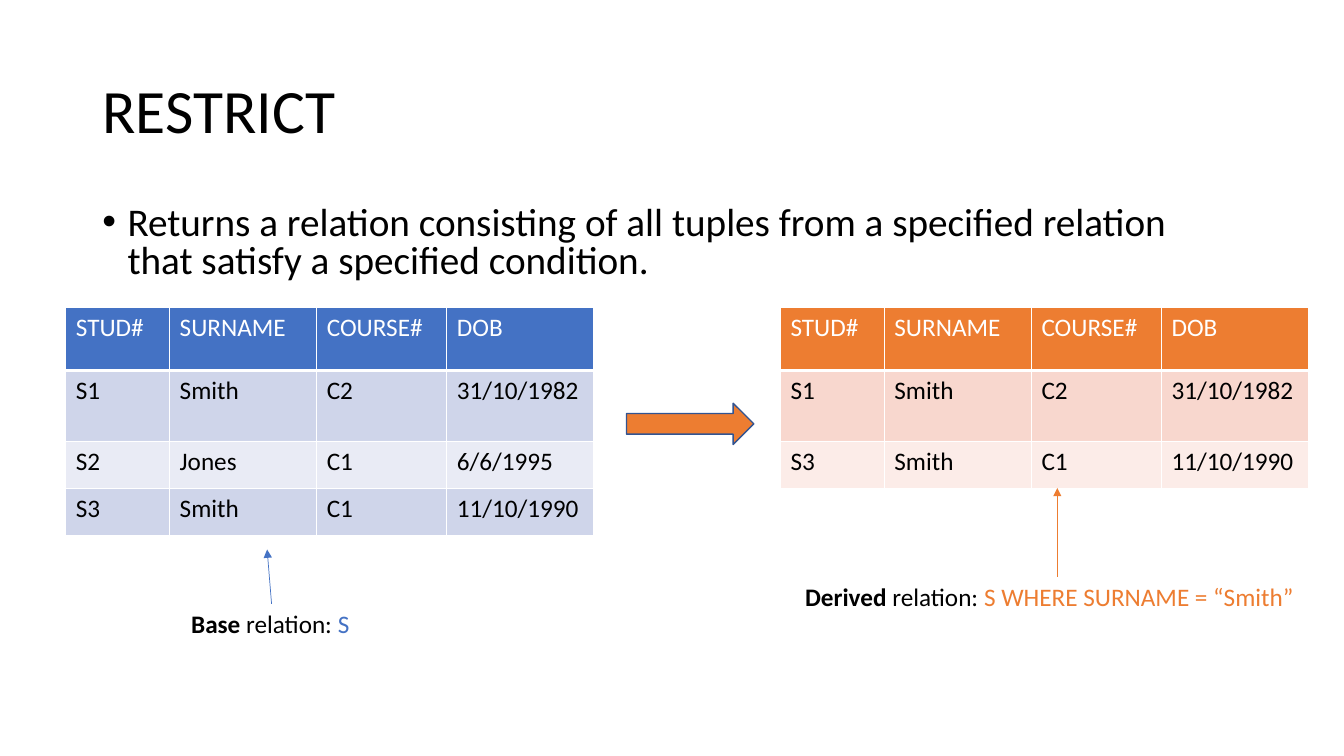
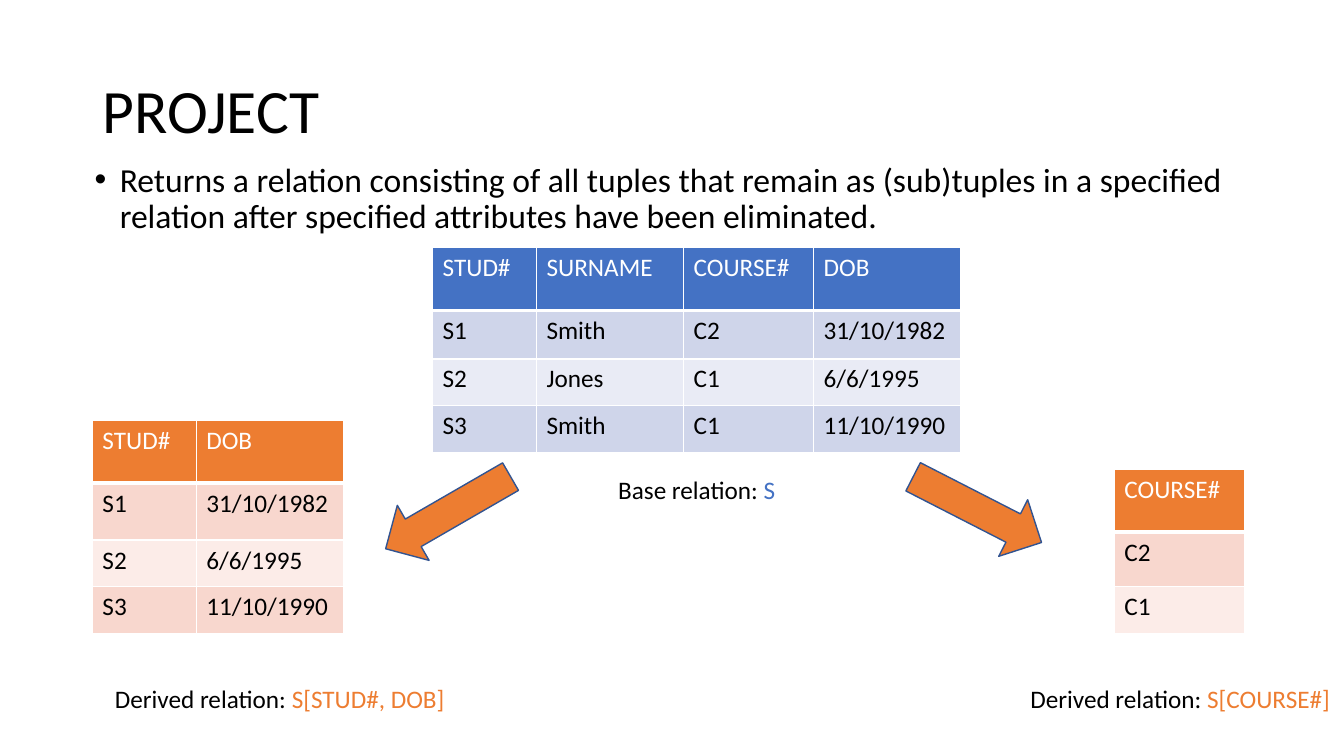
from pptx import Presentation
from pptx.dml.color import RGBColor
from pptx.enum import shapes, text
from pptx.oxml import ns, xmlchemy
from pptx.util import Pt

FONT = "Calibri"
HUES = {
    "ink": "000000", "white": "FFFFFF", "edge": "325491",
    "base": "4472C4", "base odd": "CFD5EA", "base even": "E9EBF5",
    "new": "ED7D31", "new odd": "F8D7CE", "new even": "FCECE8",
}
WIDE = {"STUD#": 74.2, "SURNAME": 105.1, "COURSE#": 92.9, "DOB": 105.1}
HEAD, ROW = 44.8, 33.4
DATA = [
    ("S1", "Smith", "C2", "31/10/1982"),
    ("S2", "Jones", "C1", "6/6/1995"),
    ("S3", "Smith", "C1", "11/10/1990"),
]
PAGE = (0, 0, 960, 540)


def hue(name):
    return RGBColor.from_string(HUES[name])


def pts(*nums):
    return [Pt(n) for n in nums]


def node(owner, tag, **attrs):
    """Append a DrawingML element to owner."""
    item = xmlchemy.OxmlElement(tag)
    for key, value in attrs.items():
        item.set(key, str(value))
    owner.append(item)
    return item


def write(para, words, size, tone="ink", bold=False):
    run = para.add_run()
    run.text = words
    font = run.font
    font.name, font.size, font.bold = FONT, Pt(size), bold
    font.color.rgb = hue(tone)


# Title and bullet
def title(slide, box, words):
    shape = slide.shapes.title
    shape.left, shape.top, shape.width, shape.height = pts(*box)
    frame = shape.text_frame
    frame.auto_size = text.MSO_AUTO_SIZE.NONE
    frame.vertical_anchor = text.MSO_ANCHOR.MIDDLE
    para = frame.paragraphs[0]
    para.alignment = text.PP_ALIGN.LEFT
    para.line_spacing = 0.9
    write(para, words, 44)


def bullet(slide, box, words, size, gap):
    frame = slide.shapes.add_textbox(*pts(*box)).text_frame
    frame.word_wrap = True
    para = frame.paragraphs[0]
    para.line_spacing, para.space_before = gap, Pt(10)
    props = para._p.get_or_add_pPr()
    props.set("marL", str(Pt(18)))
    props.set("indent", str(-Pt(18)))
    node(props, "a:buFont", typeface="Arial")
    node(props, "a:buChar", char="•")
    write(para, words, size)


# Relations
def border(cell, head):
    props = cell._tc.get_or_add_tcPr()
    for spot, side in enumerate("LRTB"):
        width = 3 if head and side == "B" else 1
        line = node(props, "a:ln" + side, w=Pt(width))
        fill = node(line, "a:solidFill")
        node(fill, "a:srgbClr", val=HUES["white"])
        props.insert(spot, line)


def grid(slide, spot, cols, rows, first, kind):
    """Draw a relation; first is the height of its first data row."""
    wide = [WIDE[col] for col in cols]
    high = [HEAD, first] + [ROW] * (len(rows) - 1)
    table = slide.shapes.add_table(
        len(high), len(wide), *pts(*spot, sum(wide), sum(high))).table
    table.first_row = table.horz_banding = False
    for col, size in zip(table.columns, wide):
        col.width = Pt(size)
    for row, size in zip(table.rows, high):
        row.height = Pt(size)
    for r, row in enumerate([cols, *rows]):
        band = kind if r == 0 else kind + (" odd" if r % 2 else " even")
        for c, words in enumerate(row):
            cell = table.cell(r, c)
            cell.fill.solid()
            cell.fill.fore_color.rgb = hue(band)
            border(cell, r == 0)
            write(cell.text_frame.paragraphs[0], words, 18,
                  "ink" if r else "white")


def pick(*cols):
    """Project the data on cols, without duplicates."""
    names = list(WIDE)
    rows = [tuple(row[names.index(col)] for col in cols) for row in DATA]
    return list(dict.fromkeys(rows))


# Captions and arrows
def label(slide, box, lead, rest, name, kind, bold=False):
    shape = slide.shapes.add_textbox(*pts(*box))
    frame = shape.text_frame
    frame.word_wrap = False
    para = frame.paragraphs[0]
    if bold:
        write(para, lead, 18, bold=True)
        write(para, rest, 18)
    else:
        write(para, lead + rest, 18)
    write(para, name, 18, kind)
    return shape


def point(slide, shape, end, kind):
    """Draw a thin arrow from the top of shape to end."""
    line = slide.shapes.add_connector(
        shapes.MSO_CONNECTOR.STRAIGHT, 0, 0, *pts(*end))
    line.begin_connect(shape, 0)
    line.line.color.rgb = hue(kind)
    line.line.width = Pt(0.5)
    node(line.line._get_or_add_ln(), "a:tailEnd", type="triangle")
    node(line._element.find(ns.qn("p:spPr")), "a:effectLst")


def arrow(slide, form, box, turn=0):
    shape = slide.shapes.add_shape(form, *pts(*box))
    shape.shadow.inherit = False
    shape.rotation = turn
    shape.fill.solid()
    shape.fill.fore_color.rgb = hue("new")
    shape.line.color.rgb = hue("edge")
    shape.line.width = Pt(1)


# Slides
def restrict(slide, box):
    x, y, w, h = box
    title(slide, (x + 66, y + 29, w - 132, 104.4), "RESTRICT")
    bullet(slide, (x + 66, y + 144, w - 147, 65.5),
           "Returns a relation consisting of all tuples from a specified "
           "relation that satisfy a specified condition.", 28, 0.8)
    cols, top = list(WIDE), y + 219.8
    smiths = [row for row in DATA if row[1] == "Smith"]
    grid(slide, (x + 47, top), cols, DATA, 51, "base")
    grid(slide, (x + 557.5, top), cols, smiths, 51, "new")
    arrow(slide, shapes.MSO_SHAPE.RIGHT_ARROW, (x + 447.5, y + 288, 91, 29.5))
    base = label(slide, (x + 129.5, y + 431.3, 129, 29),
                 "Base", " relation: ", "S", "base", True)
    point(slide, base, (x + 190.8, y + 392.5), "base")
    new = label(slide, (x + 568, y + 411.8, 374.5, 29), "Derived",
                " relation: ", "S WHERE SURNAME = “Smith”", "new", True)
    point(slide, new, (x + 755.25, y + 348.5), "new")


def project(slide, box):
    x, y, w, h = box
    title(slide, (x + 66, y + 29, w - 132, 104.4), "PROJECT")
    bullet(slide, (x + 60.5, y + 113, w - 132, 65),
           "Returns a relation consisting of all tuples that remain as "
           "(sub)tuples in a specified relation after specified attributes "
           "have been eliminated.", 24, 0.9)
    grid(slide, (x + 309, y + 177), list(WIDE), DATA, 34.6, "base")
    for left, top, first, cols in (
            (66, 300.3, 40.6, ["STUD#", "DOB"]),
            (796, 335.2, 39, ["COURSE#"])):
        grid(slide, (x + left, y + top), cols, pick(*cols), first, "new")
    for left, top, turn in ((268.6, 343.5, 330), (646.6, 341.3, 207.1)):
        arrow(slide, shapes.MSO_SHAPE.LEFT_ARROW,
              (x + left, y + top, 103, 45.4), turn)
    for left, top, wide, lead, name, kind in (
            (434.5, 335, 128, "Base", "S", "base"),
            (75, 484.7, 252.7, "Derived", "S[STUD#, DOB]", "new"),
            (728.9, 484.7, 231.1, "Derived", "S[COURSE#]", "new")):
        label(slide, (x + left, y + top, wide, 29),
              lead, " relation: ", name, kind)


def main():
    deck = Presentation()
    deck.slide_width, deck.slide_height = pts(*PAGE[2:])
    for draw in (restrict, project):
        draw(deck.slides.add_slide(deck.slide_layouts[5]), PAGE)
    deck.save("out.pptx")


if __name__ == "__main__":
    main()
